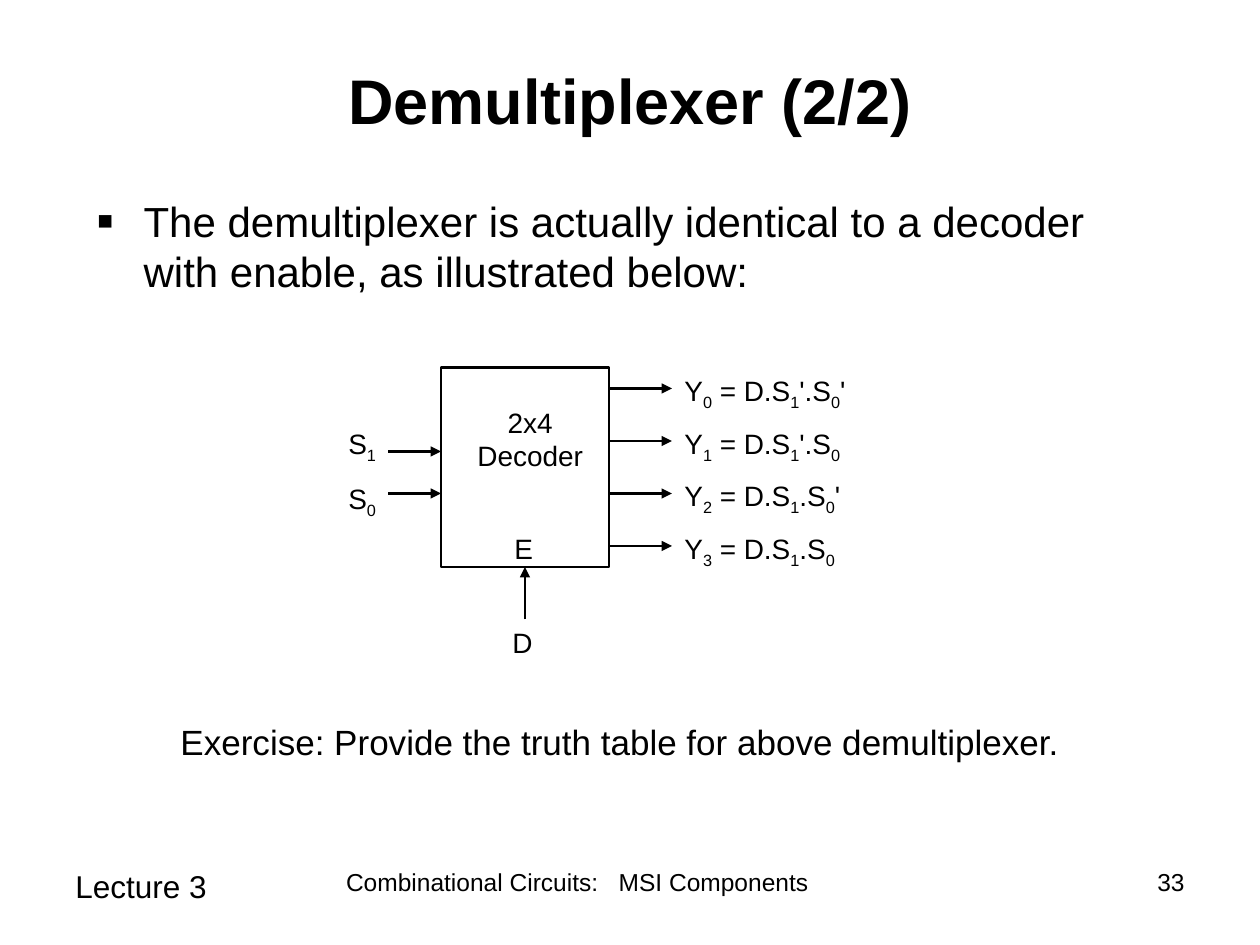
import pptx
import pptx.dml.color
import pptx.enum.shapes
import pptx.enum.text
import pptx.oxml
import pptx.oxml.ns
import pptx.util

PX = 9525  # EMU per px, 96 px to the inch
BLACK = pptx.dml.color.RGBColor(0, 0, 0)
FONT = "Arial"
ALIGN = pptx.enum.text.PP_ALIGN
ANCHOR = pptx.enum.text.MSO_ANCHOR
LABEL_SIZE = 16


def px(*lengths):
    return [pptx.util.Emu(length * PX) for length in lengths]


def sub_element(parent, tag, **attributes):
    element = pptx.oxml.parse_xml(f"<{tag} {pptx.oxml.ns.nsdecls('a')}/>")
    for name, value in attributes.items():
        element.set(name, value)
    parent.append(element)


def style_font(font, size, bold=False):
    font.name = FONT
    font.size = pptx.util.Pt(size)
    font.bold = bold
    font.color.rgb = BLACK


def add_text(slide, box, text, size, align=ALIGN.LEFT, bold=False, anchor=ANCHOR.TOP):
    frame = slide.shapes.add_textbox(*px(*box)).text_frame
    frame.word_wrap = True
    frame.vertical_anchor = anchor
    frame.text = text
    paragraph = frame.paragraphs[0]
    paragraph.alignment = align
    style_font(paragraph.runs[0].font, size, bold)
    return paragraph


def make_bullet(paragraph, indent):
    properties = paragraph._p.get_or_add_pPr()
    properties.set("marL", str(indent * PX))
    properties.set("indent", str(-indent * PX))
    sub_element(properties, "a:buSzPct", val="120000")
    sub_element(properties, "a:buFont", typeface=FONT)
    sub_element(properties, "a:buChar", char="▪")


def add_signals(slide, box, signals):
    """One paragraph per signal; the digit after each _ is a subscript."""
    frame = slide.shapes.add_textbox(*px(*box)).text_frame
    frame.word_wrap = True
    for index, signal in enumerate(signals):
        paragraph = frame.add_paragraph() if index else frame.paragraphs[0]
        if index:
            paragraph.space_before = pptx.util.Pt(10)
        first, *rest = signal.split("_")
        pieces = [(first, False)]
        for part in rest:
            pieces += [(part[0], True), (part[1:], False)]
        for text, subscript in pieces:
            if text:
                run = paragraph.add_run()
                run.text = text
                style_font(run.font, LABEL_SIZE)
                if subscript:
                    run.font._element.set("baseline", "-25000")


def add_block(slide, box):
    block = slide.shapes.add_shape(pptx.enum.shapes.MSO_SHAPE.RECTANGLE, *px(*box))
    block.shadow.inherit = False
    block.fill.background()
    block.line.color.rgb = BLACK
    block.line.width = pptx.util.Pt(1.5)
    return block


def add_arrow(slide, x1, y1, x2, y2):
    arrow = slide.shapes.add_connector(
        pptx.enum.shapes.MSO_CONNECTOR.STRAIGHT, *px(x1, y1, x2, y2))
    arrow.line.color.rgb = BLACK
    arrow.line.width = pptx.util.Pt(1.25)
    sub_element(arrow.line._get_or_add_ln(), "a:tailEnd", type="triangle")
    sub_element(arrow._element.spPr, "a:effectLst")
    return arrow


def add_decoder(slide):
    left, top, width, height = 336, 280, 128, 152
    right, bottom, middle = left + width, top + height, left + width // 2
    decoder = add_block(slide, (left, top, width, height))
    add_text(slide, (352, 304, 104, 61), "2x4 Decoder", LABEL_SIZE, ALIGN.CENTER)

    # Select inputs
    add_signals(slide, (256, 320, 48, 82), ["S_1", "S_0"])
    for y in (344, 376):
        add_arrow(slide, left - 40, y, left, y)

    # Enable input
    add_text(slide, (379, 400, 40, 35), "E", LABEL_SIZE, ALIGN.CENTER)
    enable = add_arrow(slide, middle, bottom + 40, middle, bottom)
    enable.end_connect(decoder, 2)
    add_text(slide, (381, 472, 40, 35), "D", LABEL_SIZE)

    # Outputs
    outputs = ["Y_0 = D.S_1'.S_0'", "Y_1 = D.S_1'.S_0",
               "Y_2 = D.S_1.S_0'", "Y_3 = D.S_1.S_0"]
    for index, output in enumerate(outputs):
        y = top + 40 * index
        add_arrow(slide, right, y + 16, right + 48, y + 16)
        add_signals(slide, (right + 48, y, 176, 39), [output])


def main():
    deck = pptx.Presentation()
    deck.slide_width, deck.slide_height = px(960, 720)
    slide = deck.slides.add_slide(deck.slide_layouts[6])

    # Heading and statement
    add_text(slide, (72, 16, 816, 120), "Demultiplexer (2/2)", 36,
             ALIGN.CENTER, bold=True, anchor=ANCHOR.MIDDLE)
    statement = add_text(
        slide, (64, 144, 816, 104),
        "The demultiplexer is actually identical to a decoder with enable, "
        "as illustrated below:", 24)
    make_bullet(statement, 36)

    # Circuit and exercise
    add_decoder(slide)
    add_text(slide, (128, 544, 704, 56),
             "Exercise: Provide the truth table for above demultiplexer.", 20)

    # Footer
    add_text(slide, (48, 656, 224, 50), "Lecture 3", 18)
    add_text(slide, (248, 656, 384, 50),
             "Combinational Circuits:   MSI Components", 14, ALIGN.CENTER)
    add_text(slide, (688, 656, 224, 50), "33", 14, ALIGN.RIGHT)

    deck.save("out.pptx")


if __name__ == "__main__":
    main()
